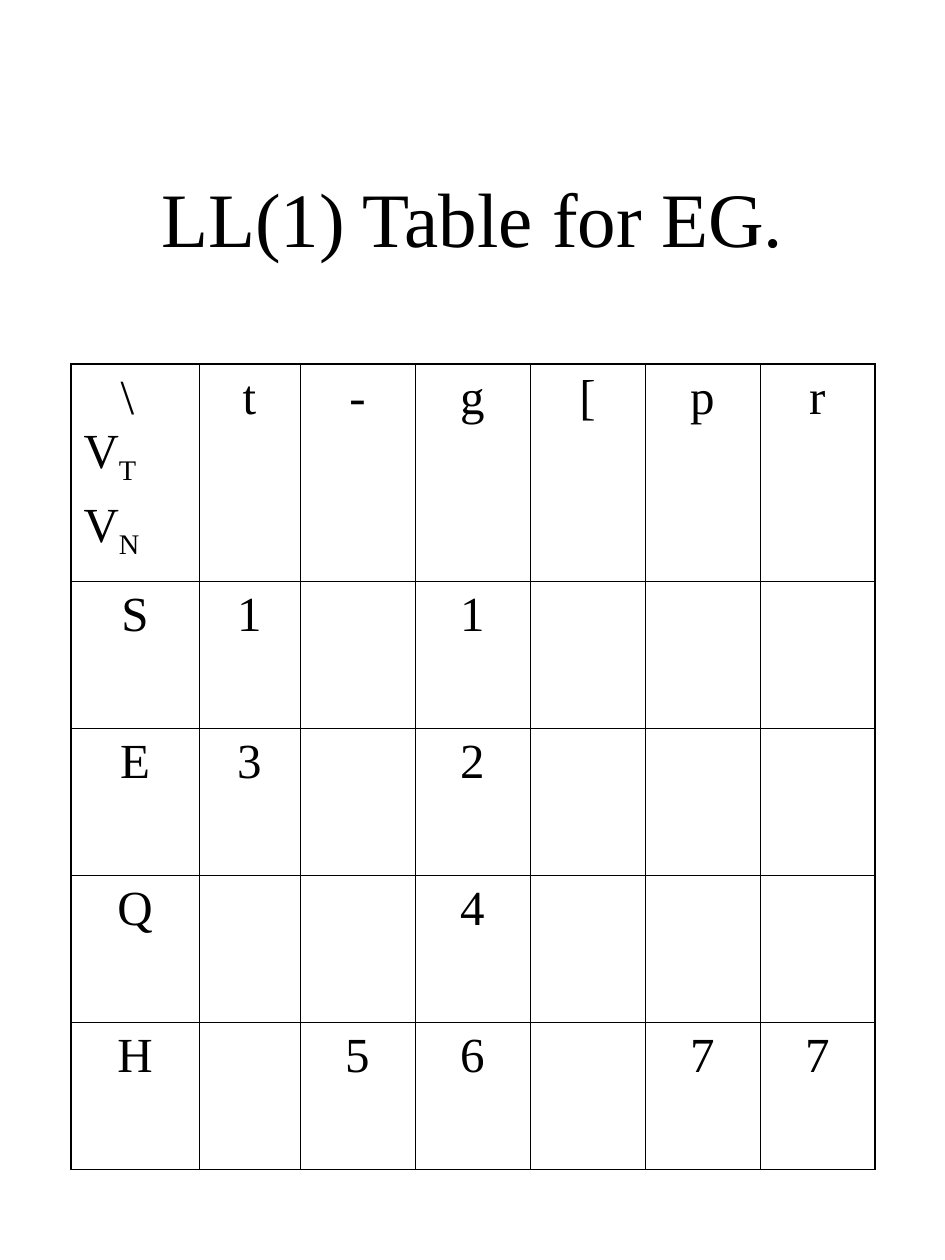
"""Build the LL(1) parsing table slide."""
from typing import NamedTuple

from lxml.etree import SubElement
from pptx import Presentation
from pptx.dml.color import RGBColor
from pptx.enum.text import MSO_ANCHOR, PP_ALIGN
from pptx.oxml.ns import qn
from pptx.util import Pt

PX = 914400 // 126
FONT = "Times New Roman"
BLACK = "000000"
THIN, THICK = 0.45, 1.08
COLS = [128, 101] + [115] * 5
ROWS = [217] + [147] * 4


class Box(NamedTuple):
    left: int
    top: int
    width: int
    height: int


class Symbol(NamedTuple):
    base: str
    sub: str


TITLE = Box(71, 112, 803, 210)
GRID = Box(71, 364, sum(COLS), sum(ROWS))
CORNER = [Symbol("\\ V", "T"), Symbol("V", "N")]
ENTRIES = [
    ["", "t", "-", "g", "[", "p", "r"],
    ["S", "1", "", "1", "", "", ""],
    ["E", "3", "", "2", "", "", ""],
    ["Q", "", "", "4", "", "", ""],
    ["H", "", "5", "6", "", "7", "7"],
]


def px(n: int) -> int:
    return n * PX


def color(value: str) -> RGBColor:
    return RGBColor.from_string(value)


def style(p, size: int) -> None:
    for r in p.runs:
        r.font.name = FONT
        r.font.size = Pt(size)
        r.font.color.rgb = color(BLACK)


def add_title(s, box: Box, text: str) -> None:
    tf = s.shapes.add_textbox(*map(px, box)).text_frame
    tf.word_wrap = True
    tf.vertical_anchor = MSO_ANCHOR.MIDDLE
    p = tf.paragraphs[0]
    p.text = text
    p.alignment = PP_ALIGN.CENTER
    style(p, 44)


def set_borders(cell, widths: dict[str, float]) -> None:
    tcPr = cell._tc.get_or_add_tcPr()
    for side, width in widths.items():
        ln = SubElement(tcPr, qn(f"a:ln{side}"), w=str(int(Pt(width))))
        fill = SubElement(ln, qn("a:solidFill"))
        SubElement(fill, qn("a:srgbClr"), val=BLACK)


def fill_corner(cell, symbols: list[Symbol]) -> None:
    tf = cell.text_frame
    for i, symbol in enumerate(symbols):
        p = tf.add_paragraph() if i else tf.paragraphs[0]
        if i:
            p.space_before = Pt(7)
        else:
            p._p.get_or_add_pPr().set("indent", str(px(37)))
        p.add_run().text = symbol.base
        r = p.add_run()
        r.text = symbol.sub
        style(p, 28)
        r._r.get_or_add_rPr().set("baseline", "-25000")


def add_grid(s, box: Box, entries: list[list[str]]) -> None:
    n_rows, n_cols = len(ROWS), len(COLS)
    table = s.shapes.add_table(n_rows, n_cols, *map(px, box)).table
    table.first_row = table.horz_banding = False
    for column, width in zip(table.columns, COLS):
        column.width = px(width)
    for row, height in zip(table.rows, ROWS):
        row.height = px(height)
    for i, line in enumerate(entries):
        for j, text in enumerate(line):
            cell = table.cell(i, j)
            outer = {"L": j == 0, "R": j == n_cols - 1, "T": i == 0, "B": i == n_rows - 1}
            set_borders(cell, {k: THICK if v else THIN for k, v in outer.items()})
            cell.fill.background()
            if text:
                p = cell.text_frame.paragraphs[0]
                p.text = text
                p.alignment = PP_ALIGN.CENTER
                style(p, 28)
    fill_corner(table.cell(0, 0), CORNER)


def main() -> None:
    prs = Presentation()
    prs.slide_width, prs.slide_height = px(945), px(1260)
    s = prs.slides.add_slide(prs.slide_layouts[6])
    add_title(s, TITLE, "LL(1) Table for EG.")
    add_grid(s, GRID, ENTRIES)
    prs.save("out.pptx")


if __name__ == "__main__":
    main()
